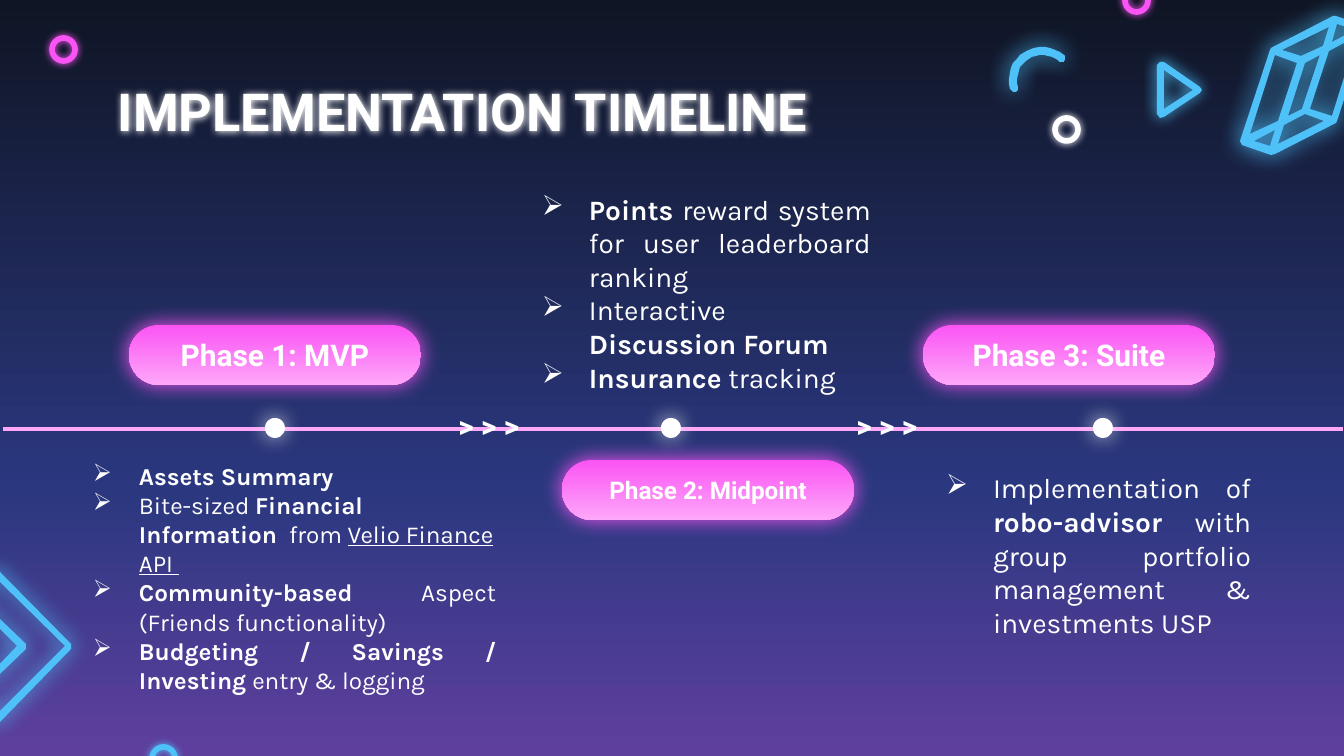
from dataclasses import dataclass
from math import cos, radians, sin
from typing import NamedTuple

from lxml import etree
from pptx import Presentation
from pptx.dml.color import RGBColor
from pptx.enum.shapes import MSO_CONNECTOR, MSO_SHAPE
from pptx.enum.text import MSO_ANCHOR, PP_ALIGN
from pptx.oxml.ns import qn
from pptx.util import Emu, Pt

LEFT, CENTER, JUSTIFY = PP_ALIGN.LEFT, PP_ALIGN.CENTER, PP_ALIGN.JUSTIFY
TOP, MIDDLE = MSO_ANCHOR.TOP, MSO_ANCHOR.MIDDLE
ELLIPSE, PILL = MSO_SHAPE.OVAL, MSO_SHAPE.ROUNDED_RECTANGLE
PX = 914400 / 134.4
INSET = 13
AXIS_Y = 429


@dataclass(frozen=True)
class Theme:
    white: str = "FFFFFF"
    pink: str = "FB54F4"
    light_pink: str = "FDA7F9"
    cyan: str = "4FC1F9"
    sky: tuple = ((0, "0F1524"), (65, "2B3880"), (100, "5F3F9E"))
    pill: tuple = ((0, "FB54F4"), (100, "FDA7F9"))
    heading: str = "Roboto"
    body: str = "Karla"
    title_size: int = 28
    label_size: int = 16
    body_size: int = 15
    small_size: int = 13


THEME = Theme()
Point = tuple[int, int]


class Box(NamedTuple):
    left: int
    top: int
    width: int
    height: int


class Run(NamedTuple):
    text: str
    bold: bool = False
    underline: bool = False


class Paragraph(NamedTuple):
    runs: list[Run]
    align: PP_ALIGN = JUSTIFY


class Phase(NamedTuple):
    label: str
    label_size: int
    pill: Box
    dot_left: int
    features_box: Box
    features: list[Paragraph]
    features_size: int
    hanging: int


class Ring(NamedTuple):
    left: int
    top: int
    color: str


class Ornament(NamedTuple):
    contours: list[list[Point]]
    blur: int


def px(length: float) -> Emu:
    return Emu(round(length * PX))


def add_color(parent, color: str):
    return etree.SubElement(parent, qn("a:srgbClr"), val=color)


def paint_gradient(fill, owner, stops) -> None:
    """Fill from top to bottom; owner is the XML element that holds the fill."""
    fill.gradient()
    fill.gradient_angle = 270
    stop_list = next(owner.iter(qn("a:gsLst")))
    for old_stop in list(stop_list):
        stop_list.remove(old_stop)
    for percent, color in stops:
        add_color(etree.SubElement(stop_list, qn("a:gs"), pos=str(percent * 1000)), color)


def add_glow(shape, color: str, blur: int, opacity: int = 100) -> None:
    shape.shadow.inherit = False
    effects = shape._element.spPr.find(qn("a:effectLst"))
    halo = etree.SubElement(effects, qn("a:outerShdw"), blurRad=str(px(blur)),
                            dist="0", algn="bl", rotWithShape="0")
    etree.SubElement(add_color(halo, color), qn("a:alpha"), val=str(opacity * 1000))


def add_bullet(paragraph, hanging: int) -> None:
    properties = paragraph._p.get_or_add_pPr()
    properties.set("marL", str(px(67)))
    properties.set("indent", str(-px(hanging)))
    add_color(etree.SubElement(properties, qn("a:buClr")), THEME.white)
    etree.SubElement(properties, qn("a:buChar"), char="➢")


def write(shape, paragraphs: list[Paragraph], *, size: int, font: str = THEME.heading,
          anchor: MSO_ANCHOR = TOP, hanging: int = 0) -> None:
    frame = shape.text_frame
    frame.word_wrap = True
    frame.vertical_anchor = anchor
    frame.margin_left = frame.margin_right = px(INSET)
    frame.margin_top = frame.margin_bottom = px(INSET)
    for index, content in enumerate(paragraphs):
        paragraph = frame.add_paragraph() if index else frame.paragraphs[0]
        paragraph.alignment = content.align
        if hanging:
            add_bullet(paragraph, hanging)
        for part in content.runs:
            run = paragraph.add_run()
            run.text = part.text
            run.font.name, run.font.size = font, Pt(size)
            run.font.bold, run.font.underline = part.bold, part.underline
            run.font.color.rgb = RGBColor.from_string(THEME.white)


def add_text(shapes, box: Box, paragraphs: list[Paragraph], **style):
    text_box = shapes.add_textbox(*map(px, box))
    write(text_box, paragraphs, **style)
    return text_box


def draw_ornament(shapes, ornament: Ornament) -> None:
    """Draw the first contour as the outline and the others as holes in it."""
    outline, *holes = ornament.contours
    builder = shapes.build_freeform(*outline[0], scale=PX)
    builder.add_line_segments(outline[1:])
    for hole in holes:
        builder.move_to(*hole[0])
        builder.add_line_segments(hole[1:])
    shape = builder.convert_to_shape()
    shape.fill.solid()
    shape.fill.fore_color.rgb = RGBColor.from_string(THEME.cyan)
    shape.line.fill.background()
    add_glow(shape, THEME.cyan, ornament.blur)


def draw_ring(shapes, ring: Ring) -> None:
    shape = shapes.add_shape(ELLIPSE, *map(px, (ring.left, ring.top, 23, 23)))
    shape.fill.background()
    shape.line.color.rgb = RGBColor.from_string(ring.color)
    shape.line.width = Pt(3)
    add_glow(shape, ring.color, 8)


def draw_phase(shapes, phase: Phase) -> None:
    pill = shapes.add_shape(PILL, *map(px, phase.pill))
    pill.adjustments[0] = 0.5
    paint_gradient(pill.fill, pill._element, THEME.pill)
    pill.line.fill.background()
    add_glow(pill, THEME.pink, 21)
    write(pill, [Paragraph([Run(phase.label, True)], CENTER)],
          size=phase.label_size, anchor=MIDDLE)
    dot = shapes.add_shape(ELLIPSE, *map(px, (phase.dot_left, AXIS_Y - 11, 20, 20)))
    dot.fill.solid()
    dot.fill.fore_color.rgb = RGBColor.from_string(THEME.white)
    dot.line.fill.background()
    add_glow(dot, THEME.white, 21, 76)
    add_text(shapes, phase.features_box, phase.features, size=phase.features_size,
             font=THEME.body, hanging=phase.hanging)


def arc(center: tuple[float, float], radius: float, start: int, end: int) -> list[Point]:
    steps = 16
    angles = [radians(start + (end - start) * step / steps) for step in range(steps + 1)]
    return [(center[0] + radius * cos(a), center[1] + radius * sin(a)) for a in angles]


def round_ended_band(center: Point, radius: int, half: int, start: int, end: int) -> list[Point]:
    def tip(angle: int) -> tuple[float, float]:
        return arc(center, radius, angle, angle)[0]

    return (arc(center, radius + half, start, end) + arc(tip(end), half, end, end + 180)
            + arc(center, radius - half, end, start)
            + arc(tip(start), half, start + 180, start + 360))


PRISM = Ornament([
    [(1336, 16), (1333, 16), (1271, 48), (1270, 50), (1240, 141), (1242, 145), (1271, 155),
     (1275, 154), (1336, 123), (1337, 121), (1367, 30), (1365, 26)],
    [(1355, 30), (1332, 42), (1337, 24)],
    [(1329, 27), (1323, 46), (1301, 56), (1282, 50)],
    [(1357, 36), (1332, 116), (1310, 109), (1329, 51)],
    [(1320, 55), (1302, 109), (1288, 116), (1305, 63)],
    [(1297, 63), (1278, 121), (1250, 134), (1275, 55)],
    [(1324, 121), (1278, 144), (1284, 125), (1305, 114)],
    [(1275, 130), (1270, 146), (1254, 141)]], 23)
TRIANGLE = Ornament([
    [(1160, 62), (1157, 65), (1157, 114), (1160, 118), (1164, 117), (1200, 93), (1202, 90),
     (1200, 87), (1164, 62)],
    [(1164, 70), (1193, 90), (1164, 109)]], 15)
CHEVRON = Ornament([
    [(-30, 594), (-30, 599), (17, 646), (-30, 695), (-30, 699), (-7, 723), (-1, 723),
     (71, 649), (71, 644), (-1, 571), (-7, 571)],
    [(-4, 578), (65, 646), (-4, 715), (-23, 696), (26, 649), (26, 644), (-23, 597)]], 21)
CRESCENT = Ornament([round_ended_band((1042, 80), 29, 4, 164, 312)], 23)
RINGS = [Ring(1055, 118, THEME.white), Ring(1125, -11, THEME.pink),
         Ring(152, 747, THEME.cyan), Ring(52, 38, THEME.pink)]
PHASES = [
    Phase("Phase 1: MVP", THEME.label_size, Box(129, 325, 292, 60), 265,
          Box(59, 448, 450, 278), [
              Paragraph([Run("Assets Summary", True)]),
              Paragraph([Run("Bite-sized "), Run("Financial Information  ", True),
                         Run("from "), Run("Velio Finance API ", underline=True)], LEFT),
              Paragraph([Run("Community-based", True), Run(" Aspect (Friends functionality)")]),
              Paragraph([Run("Budgeting / Savings / Investing ", True),
                         Run("entry & logging")])], THEME.small_size, 46),
    Phase("Phase 2: Midpoint", THEME.small_size, Box(562, 460, 292, 60), 661,
          Box(509, 179, 375, 228), [
              Paragraph([Run("Points", True),
                         Run(" reward system for user leaderboard ranking")]),
              Paragraph([Run("Interactive "), Run("Discussion Forum", True)]),
              Paragraph([Run("Insurance", True), Run(" tracking")])], THEME.body_size, 47),
    Phase("Phase 3: Suite", THEME.label_size, Box(923, 325, 292, 60), 1093,
          Box(913, 458, 351, 254), [
              Paragraph([Run("Implementation of "), Run("robo-advisor", True),
                         Run(" with group portfolio management & investments USP")])],
          THEME.body_size, 47),
]


def main() -> None:
    deck = Presentation()
    deck.slide_width, deck.slide_height = px(1344), px(756)
    slide = deck.slides.add_slide(deck.slide_layouts[6])
    shapes = slide.shapes
    paint_gradient(slide.background.fill, slide._element, THEME.sky)
    for ornament in (PRISM, TRIANGLE, CRESCENT, CHEVRON):
        draw_ornament(shapes, ornament)
    for ring in RINGS:
        draw_ring(shapes, ring)
    title = add_text(shapes, Box(105, 66, 1134, 85),
                     [Paragraph([Run("IMPLEMENTATION TIMELINE", True)], LEFT)],
                     size=THEME.title_size)
    add_glow(title, THEME.white, 8)
    axis = shapes.add_connector(MSO_CONNECTOR.STRAIGHT, px(3), px(AXIS_Y), px(1343), px(AXIS_Y))
    axis.line.color.rgb = RGBColor.from_string(THEME.light_pink)
    axis.line.width = Pt(2.25)
    etree.SubElement(axis._element.spPr, qn("a:effectLst"))
    for phase in PHASES:
        draw_phase(shapes, phase)
    for arrows_left in (421, 819):
        add_text(shapes, Box(arrows_left, 395, 136, 85),
                 [Paragraph([Run("> > >", True)], CENTER)], size=THEME.label_size)
    deck.save("out.pptx")


if __name__ == "__main__":
    main()
